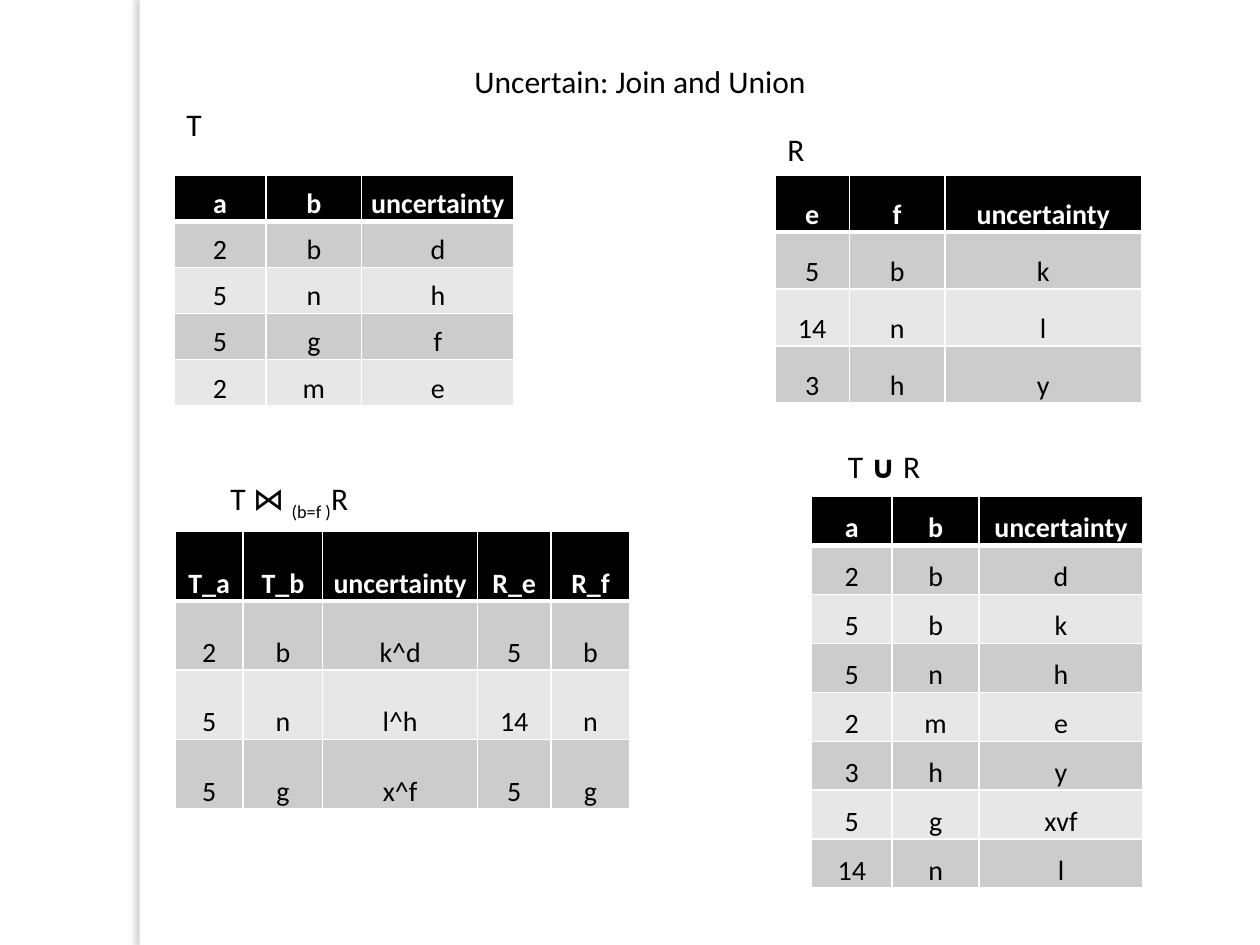
from lxml.etree import SubElement
from pptx import Presentation
from pptx.dml.color import RGBColor
from pptx.enum.shapes import MSO_SHAPE
from pptx.enum.text import MSO_ANCHOR, MSO_AUTO_SIZE, PP_ALIGN
from pptx.oxml.ns import qn
from pptx.util import Pt


def color(hex_text):
    return RGBColor.from_string(hex_text)


class SlideWriter:
    """Draws labels, tables and the side strip in one style on the current page."""

    font_name = "Calibri"
    black, white = "000000", "FFFFFF"
    bands = ("CCCCCC", "E7E7E7")
    label_size, cell_size = 18, 16
    label_height = 28.8
    thin, thick = 1, 3

    def __init__(self, page):
        self.page = page

    def format_span(self, span, size, ink, bold=False):
        span.font.name = self.font_name
        span.font.size = Pt(size)
        span.font.bold = bold
        span.font.color.rgb = color(ink)

    def strip(self, left, top, width, height):
        box = self.page.shapes.add_shape(
            MSO_SHAPE.RECTANGLE, Pt(left), Pt(top), Pt(width), Pt(height))
        box.fill.solid()
        box.fill.fore_color.rgb = color(self.white)
        box.line.fill.background()
        box.shadow.inherit = False
        effects = box._element.spPr.find(qn("a:effectLst"))
        shadow = SubElement(effects, qn("a:outerShdw"), blurRad=str(Pt(3)),
                            dist=str(Pt(3)), dir="10800000", rotWithShape="0")
        tint = SubElement(shadow, qn("a:srgbClr"), val="666B6C")
        SubElement(tint, qn("a:alpha"), val="25000")

    def label(self, left, top, width, parts, align=PP_ALIGN.LEFT):
        box = self.page.shapes.add_textbox(
            Pt(left), Pt(top), Pt(width), Pt(self.label_height))
        frame = box.text_frame
        frame.word_wrap = True
        frame.auto_size = MSO_AUTO_SIZE.SHAPE_TO_FIT_TEXT
        para = frame.paragraphs[0]
        para.alignment = align
        for text, style in parts:
            span = para.add_run()
            span.text = text
            self.format_span(span, self.label_size, self.black, style == "bold")
            if style == "subscript":
                span._r.get_or_add_rPr().set("baseline", "-25000")

    def border(self, cell, side, weight):
        line = SubElement(cell._tc.get_or_add_tcPr(), qn(f"a:ln{side}"), w=str(Pt(weight)))
        fill = SubElement(line, qn("a:solidFill"))
        SubElement(fill, qn("a:srgbClr"), val=self.white)

    def cell(self, cell, text, row):
        header = row == 0
        cell.text = text
        cell.vertical_anchor = MSO_ANCHOR.BOTTOM
        cell.margin_left = cell.margin_right = cell.margin_top = Pt(0.75)
        cell.margin_bottom = Pt(0)
        para = cell.text_frame.paragraphs[0]
        para.alignment = PP_ALIGN.CENTER
        self.format_span(para.runs[0], self.cell_size,
                         self.white if header else self.black, header)
        self.border(cell, "L", self.thin)
        self.border(cell, "R", self.thin)
        self.border(cell, "T", self.thick if row == 1 else self.thin)
        self.border(cell, "B", self.thick if header else self.thin)
        cell.fill.solid()
        cell.fill.fore_color.rgb = color(
            self.black if header else self.bands[(row - 1) % 2])

    def table(self, left, top, widths, height, lines):
        rows = [line.split() for line in lines]
        grid = self.page.shapes.add_table(
            len(rows), len(widths), Pt(left), Pt(top), Pt(sum(widths)), Pt(height)).table
        for column, width in zip(grid.columns, widths):
            column.width = Pt(width)
        for index, texts in enumerate(rows):
            grid.rows[index].height = Pt(height / len(rows))
            for position, text in enumerate(texts):
                self.cell(grid.cell(index, position), text, index)


def main():
    deck = Presentation()
    deck.slide_width, deck.slide_height = Pt(720), Pt(540)
    writer = SlideWriter(deck.slides.add_slide(deck.slide_layouts[6]))

    writer.strip(79.9, 0, 5.8, 540)
    writer.label(229.7, 31.7, 272.2, [("Uncertain: Join and Union", "plain")],
                 PP_ALIGN.CENTER)

    writer.table(99.4, 100.1, [52.6, 54.7, 87.1], 131.8,
                 ["a b uncertainty", "2 b d", "5 n h", "5 g f", "2 m e"])
    writer.label(99.4, 56.2, 51.1, [("T", "plain")])

    writer.table(442.8, 100.1, [42.5, 54.7, 112.3], 130.3,
                 ["e f uncertainty", "5 b k", "14 n l", "3 h y"])
    writer.label(442.8, 70.6, 41.8, [("R", "plain")])

    writer.table(100.1, 303.8, [38.9, 45.4, 88.6, 41.8, 45.4], 158.4,
                 ["T_a T_b uncertainty R_e R_f", "2 b k^d 5 b",
                  "5 n l^h 14 n", "5 g x^f 5 g"])
    writer.label(124.6, 270, 115.9,
                 [("T ⋈ ", "plain"), ("(b=f )", "subscript"), ("R", "plain")])

    writer.table(463.7, 283.7, [46.1, 49.7, 93.6], 223.9,
                 ["a b uncertainty", "2 b d", "5 b k", "5 n h", "2 m e",
                  "3 h y", "5 g xvf", "14 n l"])
    writer.label(477.4, 252, 86.4,
                 [("T ", "plain"), ("∪ ", "bold"), ("R", "plain")])

    deck.save("out.pptx")


if __name__ == "__main__":
    main()
